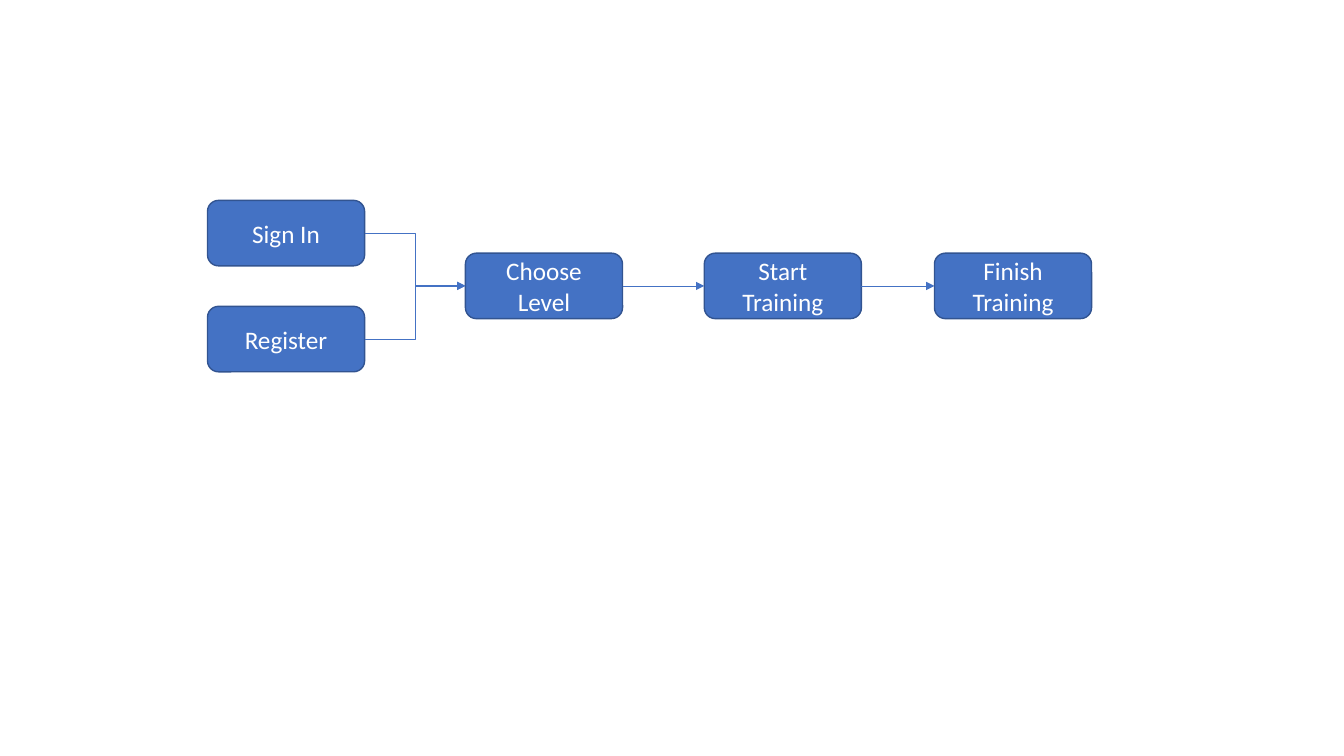
from lxml import etree
from pptx import Presentation
from pptx import util as u
from pptx.dml.color import RGBColor
from pptx.enum import shapes, text
from pptx.oxml.ns import qn

# Content: step -> left and top in cm
STEPS = {
    "Sign In": (5.23, 5.05),
    "Register": (5.23, 7.72),
    "Choose Level": (11.73, 6.38),
    "Start Training": (17.75, 6.38),
    "Finish Training": (23.55, 6.38),
}
ARROWS = [
    ("Sign In", "Choose Level"),
    ("Register", "Choose Level"),
    ("Choose Level", "Start Training"),
    ("Start Training", "Finish Training"),
]
STEP_WIDTH, STEP_HEIGHT = u.Cm(3.96), u.Cm(1.65)
BLUE, DARK_BLUE, WHITE = "4472C4", "325491", "FFFFFF"
LEFT_SITE, RIGHT_SITE = 1, 3


def paint(color_format, color):
    color_format.rgb = RGBColor.from_string(color)


def add_step(slide, label, left, top):
    shape = slide.shapes.add_shape(
        shapes.MSO_SHAPE.ROUNDED_RECTANGLE, u.Cm(left), u.Cm(top), STEP_WIDTH, STEP_HEIGHT)
    shape.shadow.inherit = False
    shape.fill.solid()
    paint(shape.fill.fore_color, BLUE)
    paint(shape.line.color, DARK_BLUE)
    shape.line.width = u.Pt(1)
    frame = shape.text_frame
    frame.word_wrap = True
    frame.vertical_anchor = text.MSO_ANCHOR.MIDDLE
    paragraph = frame.paragraphs[0]
    paragraph.alignment = text.PP_ALIGN.CENTER
    run = paragraph.add_run()
    run.text = label
    run.font.name = "Calibri"
    run.font.size = u.Pt(18)
    paint(run.font.color, WHITE)
    return shape


def add_arrow(slide, start, end):
    kind = shapes.MSO_CONNECTOR.STRAIGHT if start.top == end.top else shapes.MSO_CONNECTOR.ELBOW
    connector = slide.shapes.add_connector(kind, 0, 0, 0, 0)
    connector.begin_connect(start, RIGHT_SITE)
    connector.end_connect(end, LEFT_SITE)
    paint(connector.line.color, BLUE)
    connector.line.width = u.Pt(0.5)
    etree.SubElement(connector.line._get_or_add_ln(), qn("a:tailEnd"), type="triangle")
    etree.SubElement(connector._element.spPr, qn("a:effectLst"))


presentation = Presentation()
presentation.slide_width, presentation.slide_height = u.Cm(33.87), u.Cm(19.05)
slide = presentation.slides.add_slide(presentation.slide_layouts[6])

# Step boxes
boxes = {label: add_step(slide, label, *place) for label, place in STEPS.items()}

# Arrows between steps
for start, end in ARROWS:
    add_arrow(slide, boxes[start], boxes[end])

presentation.save("out.pptx")
